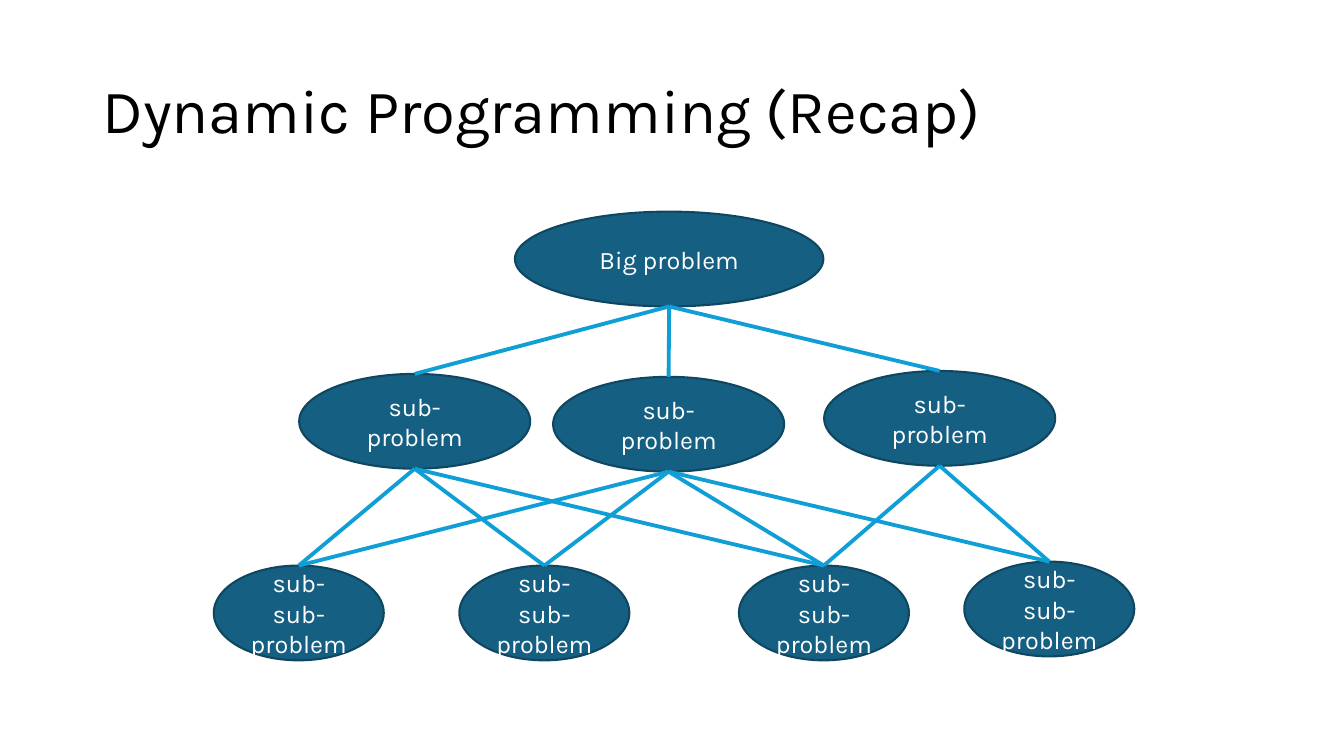
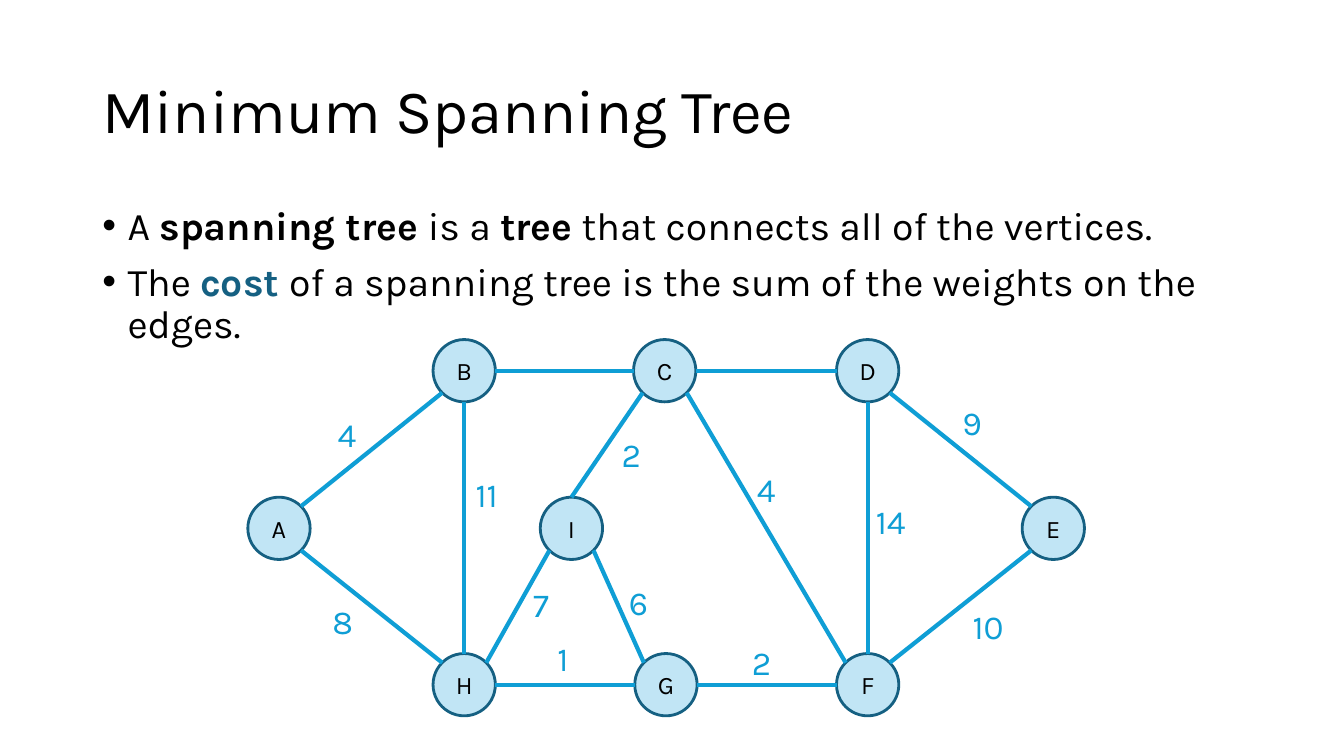
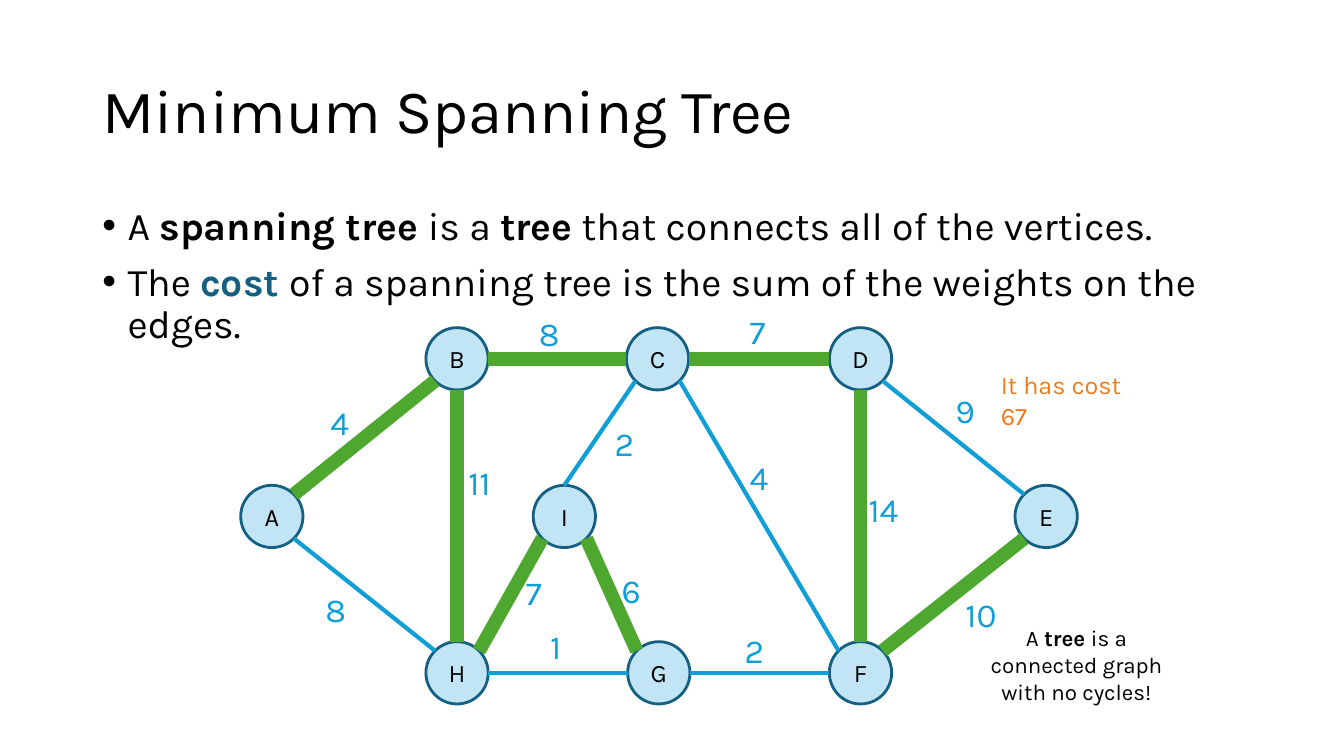
from math import cos, radians, sin

from lxml.etree import SubElement
from pptx import Presentation
from pptx.dml.color import RGBColor
from pptx.enum.shapes import MSO_CONNECTOR, MSO_SHAPE
from pptx.enum.text import MSO_ANCHOR, MSO_AUTO_SIZE, PP_ALIGN
from pptx.oxml.ns import qn
from pptx.util import Pt

FONT = "Karla"
BLACK, WHITE = "000000", "FFFFFF"
TEAL, DARK_TEAL, PALE = "156082", "104760", "C1E5F5"
BLUE, GREEN, ORANGE = "0F9ED5", "4EA72E", "F07B1A"

TITLE_ONLY, TITLE_AND_BODY = 5, 1
TOP, TOP_LEFT, LEFT, BOTTOM_LEFT, BOTTOM, BOTTOM_RIGHT, RIGHT, TOP_RIGHT = range(8)

PROBLEM_HEIGHT = 67.7
PROBLEMS = {
    "root": ("Big problem", 478, 151.2, 220.3),
    "left": ("sub-problem", 296.2, 267.1, 165),
    "middle": ("sub-problem", 477.6, 269.2, 165),
    "right": ("sub-problem", 671.2, 265, 165),
    "leaf 1": ("sub-sub-problem", 213.4, 404, 121.4),
    "leaf 2": ("sub-sub-problem", 388.8, 404, 121.4),
    "leaf 3": ("sub-sub-problem", 588.5, 404, 121.4),
    "leaf 4": ("sub-sub-problem", 749.5, 401.2, 121.4),
}
SUBPROBLEMS = {
    "root": ["left", "middle", "right"],
    "left": ["leaf 1", "leaf 2", "leaf 3"],
    "middle": ["leaf 1", "leaf 2", "leaf 3", "leaf 4"],
    "right": ["leaf 3", "leaf 4"],
}

NODE_SIZE = 44.5
UPPER, CENTRE, LOWER = 264.8, 377.4, 489.1
NODES = {
    "A": (199.3, CENTRE), "B": (331.6, UPPER), "C": (474.8, UPPER),
    "D": (619.8, UPPER), "E": (752.4, CENTRE), "F": (619.8, LOWER),
    "G": (475.7, LOWER), "H": (331.6, LOWER), "I": (408.2, CENTRE),
}
EDGES = [
    ("A", TOP_RIGHT, "B", BOTTOM_LEFT, "4", 234, 292.4),
    ("A", BOTTOM_RIGHT, "H", TOP_LEFT, "8", 230.4, 425.6),
    ("B", RIGHT, "C", LEFT, "8", 383, 228.2),
    ("B", BOTTOM, "H", TOP, "11", 332.6, 334.8),
    ("C", RIGHT, "D", LEFT, "7", 533.5, 226.8),
    ("C", BOTTOM_LEFT, "I", TOP, "2", 437, 306.7),
    ("C", BOTTOM_RIGHT, "F", TOP_LEFT, "4", 533.5, 331.2),
    ("D", BOTTOM, "F", TOP, "14", 618.5, 354.2),
    ("D", BOTTOM_RIGHT, "E", TOP_LEFT, "9", 680.4, 283.7),
    ("E", BOTTOM_LEFT, "F", TOP_RIGHT, "10", 687.6, 429.1),
    ("H", TOP_RIGHT, "I", BOTTOM_LEFT, "7", 373.7, 413.3),
    ("I", BOTTOM_RIGHT, "G", TOP_LEFT, "6", 442.1, 411.9),
    ("H", RIGHT, "G", LEFT, "1", 391, 452.2),
    ("G", RIGHT, "F", LEFT, "2", 529.9, 455),
]
SPANNING_TREE = {"AB", "BC", "CD", "BH", "DF", "HI", "IG", "EF"}

DEFINITIONS = [
    [("A ", False, BLACK), ("spanning tree ", True, BLACK), ("is a ", False, BLACK),
     ("tree", True, BLACK), (" that connects all of the vertices.", False, BLACK)],
    [("The ", False, BLACK), ("cost ", True, TEAL),
     ("of a spanning tree is the sum of the weights on the edges.", False, BLACK)],
]
TREE_NOTE = [("A ", False, BLACK), ("tree ", True, BLACK),
             ("is a connected graph with no cycles!", False, BLACK)]


def colour(hex_text):
    """Turn a hex string into a colour."""
    return RGBColor.from_string(hex_text)


def style(para, size, hex_text=BLACK, align=PP_ALIGN.LEFT):
    """Set font and alignment of a whole paragraph."""
    para.alignment = align
    para.font.name = FONT
    para.font.size = Pt(size)
    para.font.color.rgb = colour(hex_text)


def add_spans(para, spans):
    """Add runs given as text, boldness and colour."""
    for text, bold, hex_text in spans:
        span = para.add_run()
        span.text = text
        span.font.bold = bold
        span.font.color.rgb = colour(hex_text)


def place(box, left, top, width, height):
    """Move and size a placeholder."""
    box.left, box.top, box.width, box.height = map(Pt, (left, top, width, height))
    box.text_frame.auto_size = MSO_AUTO_SIZE.NONE


def add_page(deck, layout, title):
    """Add a slide with the shared title style."""
    page = deck.slides.add_slide(deck.slide_layouts[layout])
    box = page.shapes.title
    place(box, 66, 28.75, 828, 104.4)
    box.text_frame.vertical_anchor = MSO_ANCHOR.MIDDLE
    para = box.text_frame.paragraphs[0]
    para.text = title
    para.line_spacing = 0.9
    style(para, 44)
    return page


def add_bullets(page, items):
    """Fill the body placeholder with bulleted paragraphs."""
    box = page.placeholders[1]
    place(box, 66, 143.75, 828, 342.6)
    frame = box.text_frame
    for index, spans in enumerate(items):
        para = frame.add_paragraph() if index else frame.paragraphs[0]
        style(para, 28)
        para.line_spacing = 0.9
        para.space_before = Pt(10)
        add_spans(para, spans)
        properties = para._p.get_or_add_pPr()
        properties.set("marL", str(Pt(18)))
        properties.set("indent", str(-Pt(18)))
        SubElement(properties, qn("a:buFont")).set("typeface", "Arial")
        SubElement(properties, qn("a:buChar")).set("char", "•")


def add_oval(page, text, centre_x, top, width, height, fill, line, line_width, ink):
    """Add an ellipse with centred text."""
    oval = page.shapes.add_shape(
        MSO_SHAPE.OVAL, Pt(centre_x - width / 2), Pt(top), Pt(width), Pt(height))
    oval.shadow.inherit = False
    oval.fill.solid()
    oval.fill.fore_color.rgb = colour(fill)
    oval.line.color.rgb = colour(line)
    oval.line.width = Pt(line_width)
    para = oval.text_frame.paragraphs[0]
    para.text = text
    style(para, 18, ink, PP_ALIGN.CENTER)
    return oval


def site_point(oval, site):
    """Find a connection site, counted anticlockwise from the top."""
    angle = radians(90 + 45 * site)
    return (round(oval.left + oval.width / 2 * (1 + cos(angle))),
            round(oval.top + oval.height / 2 * (1 - sin(angle))))


def join(page, start, start_site, end, end_site, hex_text, width):
    """Connect sites of two ovals with a straight line."""
    line = page.shapes.add_connector(
        MSO_CONNECTOR.STRAIGHT, *site_point(start, start_site), *site_point(end, end_site))
    line.line.color.rgb = colour(hex_text)
    line.line.width = Pt(width)
    SubElement(line.element.spPr, qn("a:effectLst"))
    links = line.element.find(".//" + qn("p:cNvCxnSpPr"))
    for tag, oval, site in (("a:stCxn", start, start_site), ("a:endCxn", end, end_site)):
        link = SubElement(links, qn(tag))
        link.set("id", str(oval.shape_id))
        link.set("idx", str(site))


def add_label(page, spans, left, top, width, height, size, align=PP_ALIGN.LEFT):
    """Add a wrapping text box of one paragraph."""
    box = page.shapes.add_textbox(Pt(left), Pt(top), Pt(width), Pt(height))
    box.text_frame.word_wrap = True
    box.text_frame.auto_size = MSO_AUTO_SIZE.SHAPE_TO_FIT_TEXT
    para = box.text_frame.paragraphs[0]
    style(para, size, align=align)
    add_spans(para, spans)


def draw_problems(page):
    """Draw the problem and its overlapping subproblems."""
    ovals = {
        name: add_oval(page, text, centre_x, top, width, PROBLEM_HEIGHT,
                       TEAL, DARK_TEAL, 1.5, WHITE)
        for name, (text, centre_x, top, width) in PROBLEMS.items()
    }
    for parent, children in SUBPROBLEMS.items():
        for child in children:
            join(page, ovals[parent], BOTTOM, ovals[child], TOP, BLUE, 2.75)


def draw_graph(page, shift_x=0, shift_y=0, tree=(), unlabelled=()):
    """Draw the weighted graph with the tree edges highlighted."""
    ovals = {
        name: add_oval(page, name, x + shift_x, y + shift_y - NODE_SIZE / 2,
                       NODE_SIZE, NODE_SIZE, PALE, TEAL, 2, BLACK)
        for name, (x, y) in NODES.items()
    }
    for start, start_site, end, end_site, *_ in EDGES:
        look = (GREEN, 9.75) if start + end in tree else (BLUE, 3)
        join(page, ovals[start], start_site, ovals[end], end_site, *look)
    for start, _, end, _, weight, left, top in EDGES:
        if start + end not in unlabelled:
            add_label(page, [(weight, False, BLUE)],
                      left + shift_x, top + shift_y, 62, 36.35, 24)


def main():
    """Build the deck and save it."""
    deck = Presentation()
    deck.slide_width, deck.slide_height = Pt(960), Pt(540)

    draw_problems(add_page(deck, TITLE_ONLY, "Dynamic Programming (Recap)"))

    page = add_page(deck, TITLE_AND_BODY, "Minimum Spanning Tree")
    add_bullets(page, DEFINITIONS)
    draw_graph(page, unlabelled={"BC", "CD"})

    page = add_page(deck, TITLE_AND_BODY, "Minimum Spanning Tree")
    add_bullets(page, DEFINITIONS)
    draw_graph(page, -5.1, -8.5, SPANNING_TREE)
    add_label(page, TREE_NOTE, 698.4, 442.1, 141, 65.5, 16, PP_ALIGN.CENTER)
    add_label(page, [("It has cost 67", False, ORANGE)], 707.8, 260.6, 120.2, 29, 18)

    deck.save("out.pptx")


if __name__ == "__main__":
    main()
